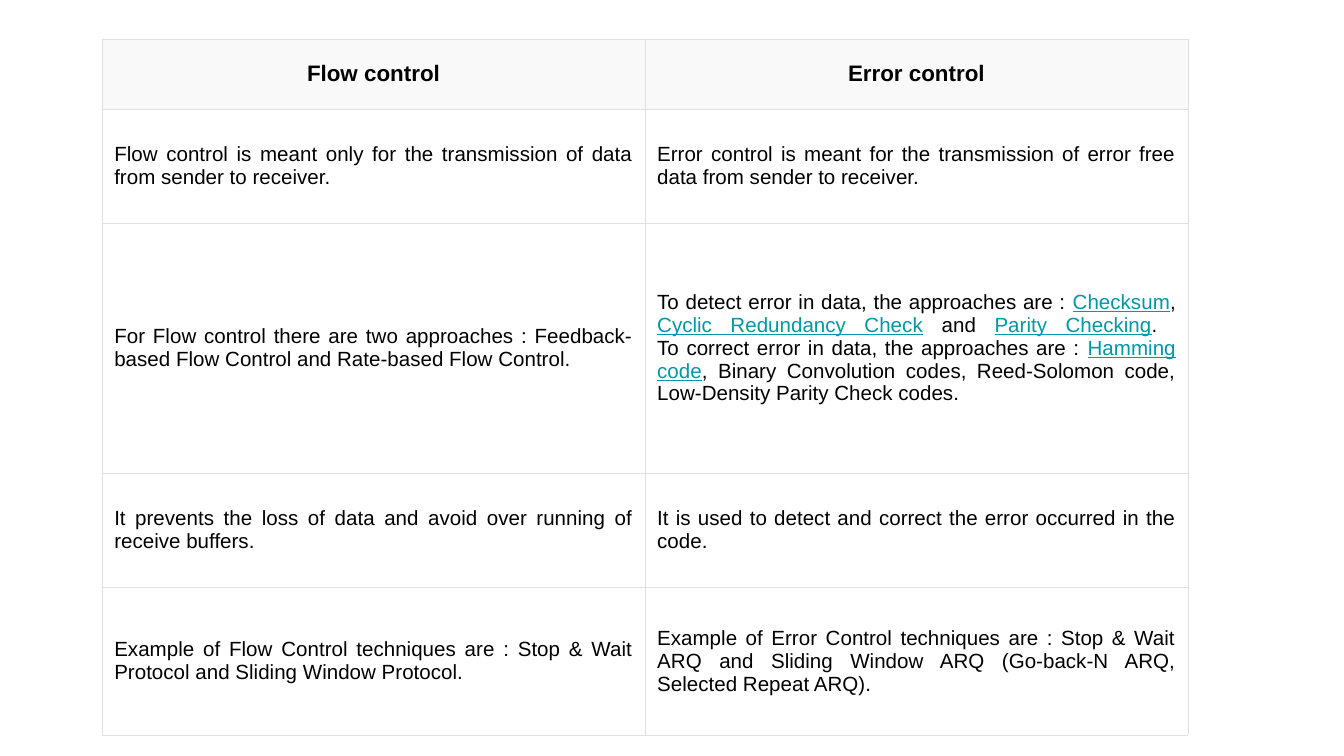
"""Build a slide with a table that compares flow control and error control."""
from lxml import etree
from pptx import Presentation
from pptx import util as u
from pptx.dml.color import RGBColor
from pptx.enum import text
from pptx.oxml.ns import qn

BLACK = RGBColor(0x00, 0x00, 0x00)
WHITE = RGBColor(0xFF, 0xFF, 0xFF)
PALE = RGBColor(0xF9, 0xF9, 0xF9)
GREY = RGBColor(0xDF, 0xDF, 0xDF)
TEAL = RGBColor(0x00, 0x97, 0xA7)

WIDTH = 10.26
HEIGHTS = [1.32, 2.16, 4.72, 2.16, 2.79]
HEAD = ["Flow control", "Error control"]
BODY = [
    ["Flow control is meant only for the transmission of data from sender to receiver.",
     "Error control is meant for the transmission of error free data from sender to receiver."],
    ["For Flow control there are two approaches : Feedback-based Flow Control "
     "and Rate-based Flow Control.",
     "To detect error in data, the approaches are : |Checksum|, |Cyclic Redundancy Check"
     "| and |Parity Checking|. \n"
     "To correct error in data, the approaches are : |Hamming code|, Binary Convolution "
     "codes, Reed-Solomon code, Low-Density Parity Check codes."],
    ["It prevents the loss of data and avoid over running of receive buffers.",
     "It is used to detect and correct the error occurred in the code."],
    ["Example of Flow Control techniques are : Stop & Wait Protocol "
     "and Sliding Window Protocol.",
     "Example of Error Control techniques are : Stop & Wait ARQ and Sliding Window ARQ "
     "(Go-back-N ARQ, Selected Repeat ARQ)."],
]


def write(para, words, size=11, bold=False, color=BLACK, line=False):
    """Add words to a paragraph, with a line break at each newline."""
    for i, part in enumerate(words.split("\n")):
        if i:
            para.add_line_break()
        run = para.add_run()
        run.text = part
        font = run.font
        font.name, font.size = "Arial", u.Pt(size)
        font.bold, font.underline = bold, line
        font.color.rgb = color


def edge(cell):
    """Draw a thin grey border on all four sides of a cell."""
    props = cell._tc.get_or_add_tcPr()
    for i, side in enumerate(["lnL", "lnR", "lnT", "lnB"]):
        line = etree.Element(qn(f"a:{side}"), w=str(u.Pt(0.23)))
        fill = etree.SubElement(line, qn("a:solidFill"))
        etree.SubElement(fill, qn("a:srgbClr"), val=str(GREY))
        props.insert(i, line)


def fill_cell(cell, words, fill=WHITE, pad=0.33, align=text.PP_ALIGN.JUSTIFY, **style):
    """Format a cell and write its words, with every second piece as a link."""
    cell.fill.solid()
    cell.fill.fore_color.rgb = fill
    cell.vertical_anchor = text.MSO_ANCHOR.MIDDLE
    cell.margin_left = cell.margin_right = u.Cm(0.23)
    cell.margin_top = cell.margin_bottom = u.Cm(pad)
    edge(cell)
    para = cell.text_frame.paragraphs[0]
    para.alignment = align
    for i, piece in enumerate(words.split("|")):
        look = {"color": TEAL, "line": True} if i % 2 else {}
        write(para, piece, **style, **look)


def add_grid(slide):
    """Add the table with its header and body rows."""
    frame = slide.shapes.add_table(
        len(HEIGHTS), len(HEAD), u.Cm(1.93), u.Cm(0.74),
        u.Cm(WIDTH * len(HEAD)), u.Cm(sum(HEIGHTS)))
    table = frame.table
    table.first_row = table.horz_banding = False
    for col in table.columns:
        col.width = u.Cm(WIDTH)
    for row, high in zip(table.rows, HEIGHTS):
        row.height = u.Cm(high)
    for c, words in enumerate(HEAD):
        fill_cell(table.cell(0, c), words, fill=PALE, pad=0.23,
                  align=text.PP_ALIGN.CENTER, size=12, bold=True)
    for r, row in enumerate(BODY, 1):
        for c, words in enumerate(row):
            fill_cell(table.cell(r, c), words)


def main():
    """Create and save the deck."""
    deck = Presentation()
    deck.slide_width, deck.slide_height = u.Cm(25.4), u.Cm(14.29)
    add_grid(deck.slides.add_slide(deck.slide_layouts[6]))
    deck.save("out.pptx")


if __name__ == "__main__":
    main()
